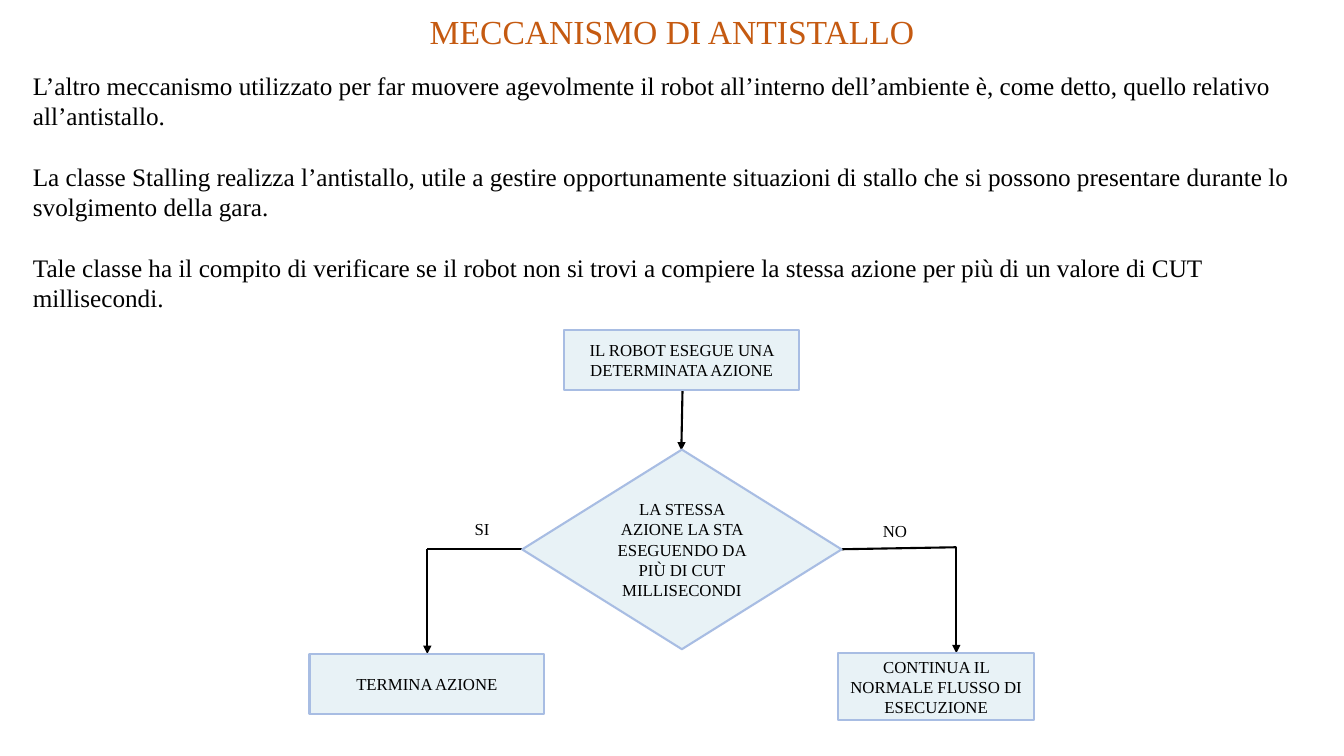
import pptx
import pptx.util
import pptx.dml.color
import pptx.enum.shapes
import pptx.enum.text
import pptx.oxml.ns
import lxml.etree

Cm = pptx.util.Cm
Pt = pptx.util.Pt
SHAPE = pptx.enum.shapes.MSO_SHAPE
ALIGN = pptx.enum.text.PP_ALIGN
ANCHOR = pptx.enum.text.MSO_ANCHOR

COLORS = {"text": "000000", "title": "C55A11", "fill": "E8F2F6", "border": "A8BDE3"}


def rgb(name):
    return pptx.dml.color.RGBColor.from_string(COLORS[name])


class FlowSlide:
    font = "Times New Roman"
    line_width = Pt(1.5)

    def __init__(self, prs):
        self.slide = prs.slides.add_slide(prs.slide_layouts[5])
        self.shapes = self.slide.shapes

    def set_text(self, sp, paragraphs, size, color="text", align=ALIGN.LEFT,
                 anchor=ANCHOR.TOP, gap=0):
        tf = sp.text_frame
        frame_format = {"word_wrap": True, "vertical_anchor": anchor,
                        "auto_size": pptx.enum.text.MSO_AUTO_SIZE.NONE}
        for name, value in frame_format.items():
            setattr(tf, name, value)
        for i, text in enumerate(paragraphs):
            p = tf.add_paragraph() if i else tf.paragraphs[0]
            p.alignment = align
            p.space_before = Pt(gap if i else 0)
            r = p.add_run()
            r.text = text
            for name, value in {"name": self.font, "size": Pt(size)}.items():
                setattr(r.font, name, value)
            r.font.color.rgb = rgb(color)

    def title(self, text, left, top, width, height):
        sp = self.shapes.title
        place = {"left": left, "top": top, "width": width, "height": height}
        for name, value in place.items():
            setattr(sp, name, Cm(value))
        self.set_text(sp, [text], 24, "title", ALIGN.CENTER)

    def text(self, paragraphs, left, top, width, height, size, gap=0):
        sp = self.shapes.add_textbox(Cm(left), Cm(top), Cm(width), Cm(height))
        self.set_text(sp, paragraphs, size, gap=gap)

    def node(self, kind, text, left, top, width, height):
        sp = self.shapes.add_shape(kind, Cm(left), Cm(top), Cm(width), Cm(height))
        sp.shadow.inherit = False
        sp.fill.solid()
        sp.fill.fore_color.rgb = rgb("fill")
        sp.line.color.rgb = rgb("border")
        sp.line.width = self.line_width
        self.set_text(sp, [text], 12, align=ALIGN.CENTER, anchor=ANCHOR.MIDDLE)

    def line(self, start, end, arrow=False):
        cn = self.shapes.add_connector(
            pptx.enum.shapes.MSO_CONNECTOR.STRAIGHT,
            *[Cm(v) for v in (*start, *end)])
        cn.line.color.rgb = rgb("text")
        cn.line.width = self.line_width
        qn = pptx.oxml.ns.qn
        props = cn.element.spPr
        if arrow:
            lxml.etree.SubElement(props.find(qn("a:ln")), qn("a:tailEnd"), type="triangle")
        lxml.etree.SubElement(props, qn("a:effectLst"))


def main():
    prs = pptx.Presentation()
    prs.slide_width, prs.slide_height = Cm(33.87), Cm(19.05)
    s = FlowSlide(prs)

    # Title and explanation
    s.title("MECCANISMO DI ANTISTALLO", 0, 0.15, 33.87, 1.27)
    s.text([
        "L’altro meccanismo utilizzato per far muovere agevolmente il robot all’interno "
        "dell’ambiente è, come detto, quello relativo all’antistallo.",
        "La classe Stalling realizza l’antistallo, utile a gestire opportunamente situazioni "
        "di stallo che si possono presentare durante lo svolgimento della gara.",
        "Tale classe ha il compito di verificare se il robot non si trovi a compiere la "
        "stessa azione per più di un valore di CUT millisecondi.",
    ], 0.58, 1.65, 32.72, 6.4, 18, gap=21.6)

    # Connections: start, yes branch, no branch
    yes_corner, no_corner = (10.77, 13.84), (24.1, 13.79)
    s.line((17.2, 9.83), (17.17, 11.35), arrow=True)
    s.line((13.16, 13.84), yes_corner)
    s.line(yes_corner, (10.77, 16.48), arrow=True)
    s.line(no_corner, (21.21, 13.84))
    s.line(no_corner, (24.1, 16.46), arrow=True)

    # Flow chart nodes
    s.node(SHAPE.FLOWCHART_DECISION,
           "LA STESSA AZIONE LA STA ESEGUENDO DA PIÙ DI CUT MILLISECONDI",
           13.16, 11.33, 8.05, 5.03)
    for text, *place in (
        ("IL ROBOT ESEGUE UNA DETERMINATA AZIONE", 14.22, 8.31, 5.92, 1.52),
        ("TERMINA AZIONE", 7.8, 16.48, 5.92, 1.52),
        ("CONTINUA IL NORMALE FLUSSO DI ESECUZIONE", 21.13, 16.46, 4.93, 1.68),
    ):
        s.node(SHAPE.RECTANGLE, text, *place)

    # Branch labels
    for text, left, top in (("SI", 11.71, 12.95), ("NO", 22, 13)):
        s.text([text], left, top, 1.6, 0.79, 12)

    prs.save("out.pptx")


if __name__ == "__main__":
    main()
